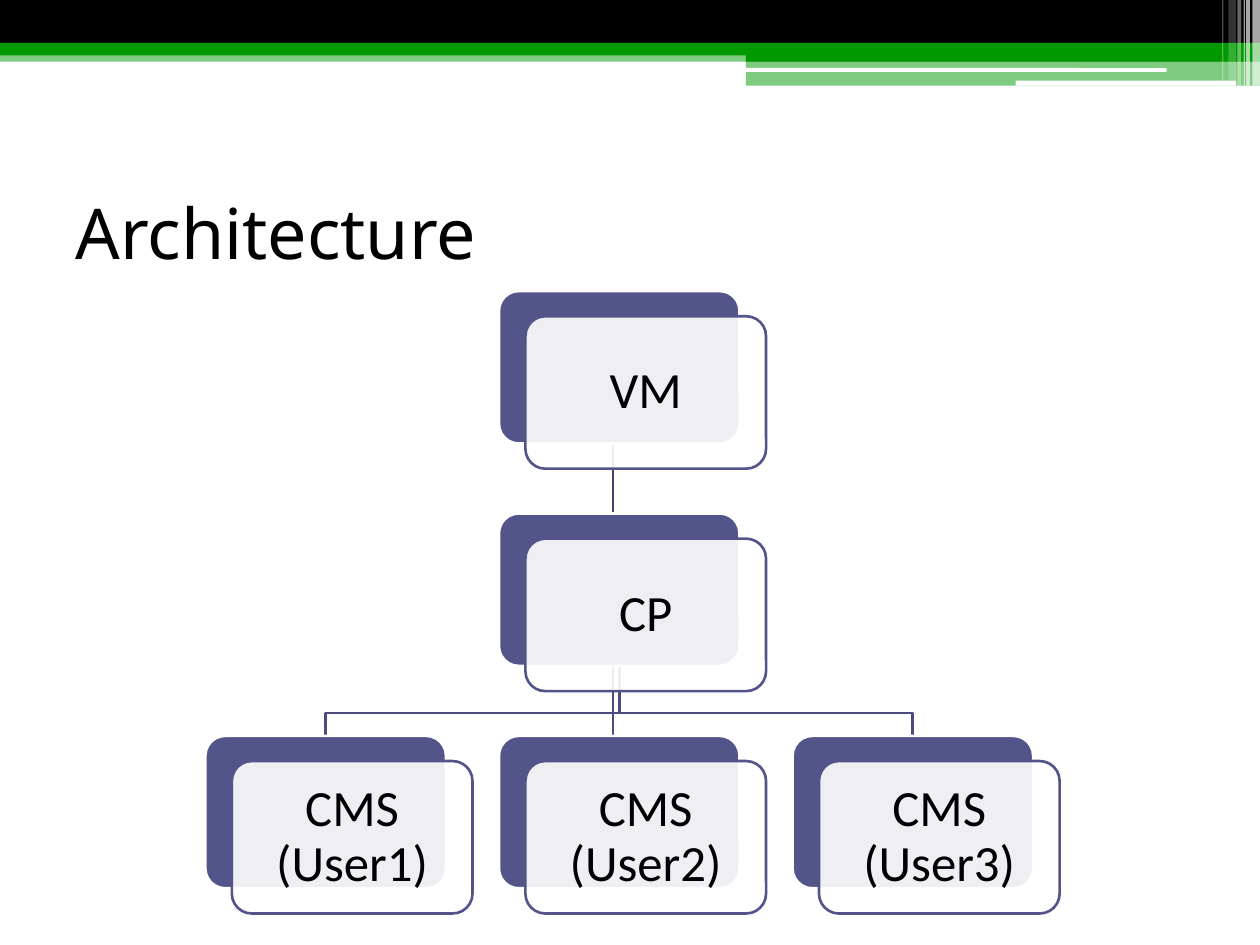
from dataclasses import dataclass

from lxml.etree import SubElement
from pptx import Presentation
from pptx.dml.color import RGBColor
from pptx.enum.shapes import MSO_CONNECTOR, MSO_SHAPE
from pptx.enum.text import MSO_ANCHOR, PP_ALIGN
from pptx.oxml.ns import qn
from pptx.util import Inches, Pt


@dataclass(frozen=True)
class Theme:
    """Colours, fonts and sizes of the slide."""
    black: str = "000000"
    white: str = "FFFFFF"
    green: str = "009900"
    node: str = "53548A"
    root_link: str = "42436F"
    leaf_link: str = "4B4C7D"
    title_font: str = "Noto Sans"
    node_font: str = "Calibri"
    title_size: int = 40
    node_size: int = 29
    line_width: float = 1.5


THEME = Theme()


def style_line(shape, color):
    """Give a shape or connector the diagram's line weight and a colour."""
    shape.line.color.rgb = RGBColor.from_string(color)
    shape.line.width = Pt(THEME.line_width)


def add_box(slide, kind, box, color, alpha=100, line=None, radius=None):
    """Add a filled preset shape, optionally outlined, rounded or translucent."""
    shape = slide.shapes.add_shape(kind, *map(Inches, box))
    shape.shadow.inherit = False
    shape.fill.solid()
    shape.fill.fore_color.rgb = RGBColor.from_string(color)
    if alpha < 100:
        fill_color = shape._element.spPr.find(qn("a:solidFill"))[0]
        SubElement(fill_color, qn("a:alpha")).set("val", str(alpha * 1000))
    if radius is not None:
        shape.adjustments[0] = radius
    if line:
        style_line(shape, line)
    else:
        shape.line.fill.background()
    return shape


def write_text(frame, text, font, size):
    """Write one vertically centred run and return its paragraph."""
    frame.word_wrap = True
    frame.vertical_anchor = MSO_ANCHOR.MIDDLE
    paragraph = frame.paragraphs[0]
    run = paragraph.add_run()
    run.text = text
    run.font.name = font
    run.font.size = Pt(size)
    run.font.color.rgb = RGBColor.from_string(THEME.black)
    return paragraph


def add_banner(slide, box):
    """Draw the layered bands and the fading stripes at the right edge."""
    left, top, width, height = box
    split = 5.92
    short_height = height - 0.04
    bands = [
        (0, 0.4, width, 0.09, THEME.green, 50),
        (0, 0, width, 0.34, THEME.black, 100),
        (0, 0.34, width, 0.1, THEME.green, 100),
        (split, 0.39, width - split, 0.1, THEME.green, 100),
        (split, 0.48, width - split, 0.2, THEME.green, 50),
    ]
    highlights = [(5.91, 0.54, 3.35, 0.03), (8.06, 0.64, 1.75, 0.04)]
    stripes = [
        (9.94, 0.06, height, 65), (9.89, 0.03, height, 65),
        (9.87, 0.01, height, 60), (9.82, 0.03, height, 40),
        (9.75, 0.06, short_height, 20), (9.7, 0.01, short_height, 30),
    ]
    for x, y, w, h, color, alpha in bands:
        add_box(slide, MSO_SHAPE.RECTANGLE, (left + x, top + y, w, h), color, alpha)
    for x, y, w, h in highlights:
        add_box(slide, MSO_SHAPE.ROUNDED_RECTANGLE, (left + x, top + y, w, h),
                THEME.white, radius=0.167)
    for x, w, h, alpha in stripes:
        add_box(slide, MSO_SHAPE.RECTANGLE, (left + x, top, w, h), THEME.white, alpha)


def add_title(slide, box, text):
    """Place the slide title."""
    frame = slide.shapes.add_textbox(*map(Inches, box)).text_frame
    write_text(frame, text, THEME.title_font, THEME.title_size)


def add_node(slide, box, text):
    """Draw a solid card with a translucent labelled card offset over it."""
    left, top, width, height = box
    rounded, radius = MSO_SHAPE.ROUNDED_RECTANGLE, 0.13
    front_box = (left + 0.21, top + 0.2, width, height)
    add_box(slide, rounded, box, THEME.node, line=THEME.white, radius=radius)
    front = add_box(slide, rounded, front_box, THEME.white, 90, THEME.node, radius)
    frame = front.text_frame
    frame.margin_left = frame.margin_right = Inches(0.12)
    frame.margin_top = frame.margin_bottom = Inches(0.16)
    paragraph = write_text(frame, text, THEME.node_font, THEME.node_size)
    paragraph.alignment = PP_ALIGN.CENTER
    paragraph.line_spacing = 0.9


def add_straight_link(slide, x, top, bottom, color):
    """Join two levels with a vertical line."""
    link = slide.shapes.add_connector(
        MSO_CONNECTOR.STRAIGHT, *map(Inches, (x, top, x, bottom)))
    style_line(link, color)
    SubElement(link._element.spPr, qn("a:effectLst"))


def add_elbow_link(slide, start, end, color):
    """Join a parent to a side child with a stepped line."""
    (start_x, start_y), (end_x, end_y) = start, end
    bend_y = end_y - 0.18
    corners = [(start_x, bend_y), (end_x, bend_y), end]
    builder = slide.shapes.build_freeform(Inches(start_x), Inches(start_y))
    builder.add_line_segments([(Inches(x), Inches(y)) for x, y in corners], close=False)
    link = builder.convert_to_shape()
    link.shadow.inherit = False
    link.fill.background()
    style_line(link, color)


def add_hierarchy(slide, box, root, parent, leaves):
    """Draw a root, its single child and a row of leaves with their links."""
    left, top, width, height = box
    node_width, node_height = 1.91, 1.21
    column_step = (width - node_width) / (len(leaves) - 1)
    row_step = (height - node_height) / 2
    columns = [left + i * column_step for i in range(len(leaves))]
    root_top, parent_top, leaf_top = [top + i * row_step for i in range(3)]
    root_bottom, parent_bottom = root_top + node_height, parent_top + node_height
    middle = left + (width - node_width) / 2
    center_x = middle + node_width / 2
    straight_x = center_x - 0.05

    for column in (columns[-1], columns[0]):
        leaf_center = column + node_width / 2
        add_elbow_link(slide, (center_x, parent_bottom), (leaf_center, leaf_top),
                       THEME.leaf_link)
    add_straight_link(slide, straight_x, parent_bottom, leaf_top, THEME.leaf_link)
    add_straight_link(slide, straight_x, root_bottom, parent_top, THEME.root_link)

    nodes = [(middle, root_top, root), (middle, parent_top, parent)]
    nodes += [(column, leaf_top, leaf) for column, leaf in zip(columns, leaves)]
    for x, y, text in nodes:
        add_node(slide, (x, y, node_width, node_height), text)


def main():
    """Build and save the slide."""
    presentation = Presentation()
    presentation.slide_width, presentation.slide_height = Inches(10), Inches(7.5)
    slide = presentation.slides.add_slide(presentation.slide_layouts[6])
    add_banner(slide, (0, 0, 10, 0.68))
    add_title(slide, (0.5, 1.25, 9, 1.17), "Architecture")
    add_hierarchy(slide, (1.63, 2.31, 6.57, 4.74), "VM", "CP",
                  [f"CMS (User{i})" for i in range(1, 4)])
    presentation.save("out.pptx")


if __name__ == "__main__":
    main()
